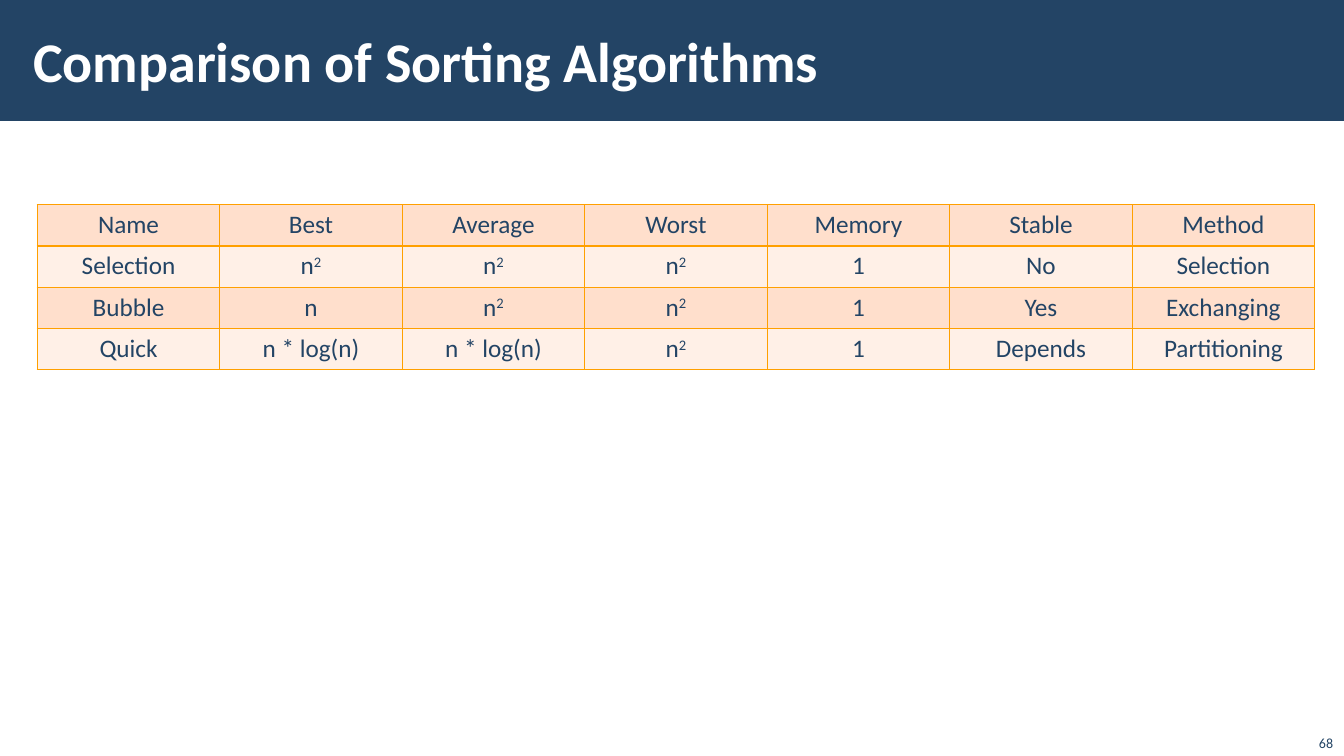
"""Build the slide that compares sorting algorithms in a table."""
from lxml.etree import SubElement
from pptx import Presentation
from pptx.dml.color import RGBColor
from pptx.enum.shapes import MSO_SHAPE
from pptx.enum.text import MSO_ANCHOR, PP_ALIGN
from pptx.oxml.ns import qn
from pptx.util import Inches, Pt

TITLE = "Comparison of Sorting Algorithms"
PAGE_NUMBER = "68"
ROWS = [
    ("Name", "Best", "Average", "Worst", "Memory", "Stable", "Method"),
    ("Selection", "n^2", "n^2", "n^2", "1", "No", "Selection"),
    ("Bubble", "n", "n^2", "n^2", "1", "Yes", "Exchanging"),
    ("Quick", "n * log(n)", "n * log(n)", "n^2", "1", "Depends", "Partitioning"),
]
FONT, NAVY, WHITE, ORANGE = "Calibri", "234465", "FFFFFF", "FFA000"
BAND_FILLS = ("FFDFCC", "FFF0E7")
SLIDE_WIDTH, SLIDE_HEIGHT = 13.33, 7.5
COLUMN_WIDTH, ROW_HEIGHT = 1.81, 0.41


def color(hex_value):
    return RGBColor.from_string(hex_value)


def fill_solid(target, hex_value):
    target.fill.solid()
    target.fill.fore_color.rgb = color(hex_value)


def write(paragraph, text, size, hex_value, align=PP_ALIGN.LEFT, bold=False):
    paragraph.alignment = align
    for index, part in enumerate(text.split("^")):
        run = paragraph.add_run()
        run.text = part
        run.font.name, run.font.size, run.font.bold = FONT, Pt(size), bold
        run.font.color.rgb = color(hex_value)
        if index:
            run._r.get_or_add_rPr().set("baseline", "30000")


def add_text(slide, box, anchor, margins, *style):
    text_frame = slide.shapes.add_textbox(*map(Inches, box)).text_frame
    text_frame.word_wrap = True
    text_frame.vertical_anchor = anchor
    text_frame.margin_left = text_frame.margin_right = Inches(margins[0])
    text_frame.margin_top = text_frame.margin_bottom = Inches(margins[1])
    write(text_frame.paragraphs[0], *style)


def add_borders(cell, hex_value, points):
    properties = cell._tc.get_or_add_tcPr()
    for position, side in enumerate(("lnL", "lnR", "lnT", "lnB")):
        line = SubElement(properties, qn(f"a:{side}"), w=str(Pt(points)))
        solid = SubElement(line, qn("a:solidFill"))
        SubElement(solid, qn("a:srgbClr"), val=hex_value)
        properties.insert(position, line)


def add_comparison(slide, left, top):
    size = (COLUMN_WIDTH * len(ROWS[0]), ROW_HEIGHT * len(ROWS))
    table = slide.shapes.add_table(
        len(ROWS), len(ROWS[0]), *map(Inches, (left, top, *size))).table
    table.first_row = table.horz_banding = False
    for column in table.columns:
        column.width = Inches(COLUMN_WIDTH)
    for row_index, values in enumerate(ROWS):
        table.rows[row_index].height = Inches(ROW_HEIGHT)
        for column_index, value in enumerate(values):
            cell = table.cell(row_index, column_index)
            fill_solid(cell, BAND_FILLS[row_index % 2])
            add_borders(cell, ORANGE, 1)
            write(cell.text_frame.paragraphs[0], value, 18, NAVY, PP_ALIGN.CENTER)


presentation = Presentation()
presentation.slide_width = Inches(SLIDE_WIDTH)
presentation.slide_height = Inches(SLIDE_HEIGHT)
slide = presentation.slides.add_slide(presentation.slide_layouts[6])

banner = slide.shapes.add_shape(
    MSO_SHAPE.RECTANGLE, 0, 0, presentation.slide_width, Inches(1.2))
banner.shadow.inherit = False
fill_solid(banner, NAVY)
banner.line.fill.background()

add_text(slide, (0.21, 0.11, 10.63, 0.97), MSO_ANCHOR.MIDDLE, (0.12, 0.04),
         TITLE, 40, WHITE, PP_ALIGN.LEFT, True)
add_text(slide, (12.82, 7.18, 0.5, 0.32), MSO_ANCHOR.BOTTOM, (0.1, 0.05),
         PAGE_NUMBER, 10, NAVY, PP_ALIGN.RIGHT)
add_comparison(slide, 0.37, 2.03)

presentation.save("out.pptx")
